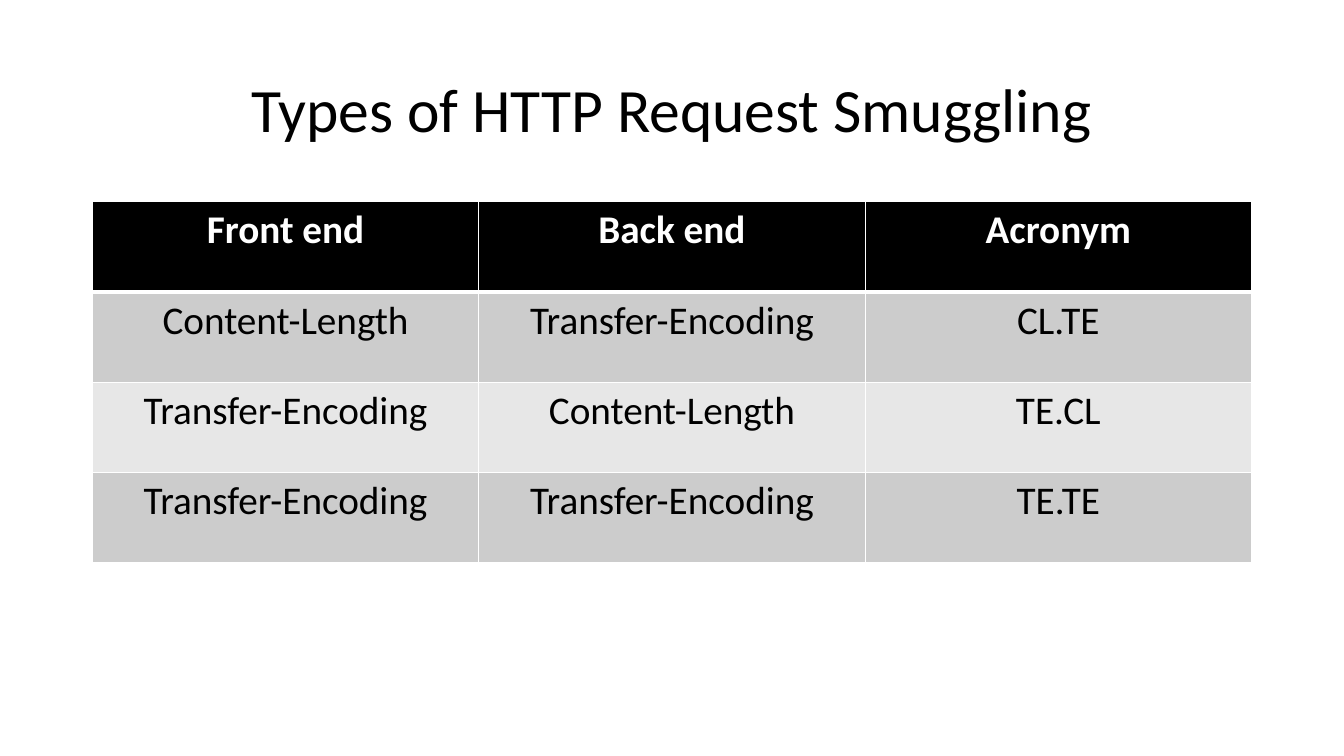
from dataclasses import dataclass

from lxml import etree
from pptx import Presentation
from pptx.dml.color import RGBColor
from pptx.enum import text
from pptx.oxml import ns
from pptx import util as u

PX = 9525  # 96 px to the inch


@dataclass(frozen=True)
class Theme:
    font: str = "Calibri"
    title_size: int = 44
    table_size: int = 28
    dark: str = "000000"
    light: str = "FFFFFF"
    bands: tuple = ("CCCCCC", "E7E7E7")
    thin: int = 1
    thick: int = 3


THEME = Theme()
TITLE_BOX = (88, 38, 1104, 139)
TABLE_BOX = (88, 192, 1104, 344)
ROWS = [
    ("Front end", "Back end", "Acronym"),
    ("Content-Length", "Transfer-Encoding", "CL.TE"),
    ("Transfer-Encoding", "Content-Length", "TE.CL"),
    ("Transfer-Encoding", "Transfer-Encoding", "TE.TE"),
]


def px(length):
    return u.Emu(int(length * PX))


def write(frame, words, *, size, color, bold=False, spacing=None,
          anchor=text.MSO_ANCHOR.TOP):
    frame.word_wrap = True
    frame.vertical_anchor = anchor
    para = frame.paragraphs[0]
    para.alignment = text.PP_ALIGN.CENTER
    para.line_spacing = spacing
    span = para.add_run()
    span.text = words
    span.font.name = THEME.font
    span.font.size = u.Pt(size)
    span.font.bold = bold
    span.font.color.rgb = RGBColor.from_string(color)


def set_borders(cell, top, bottom):
    """Draw all four sides of a cell; top and bottom are widths in points."""
    properties = cell._tc.get_or_add_tcPr()
    widths = {"lnL": THEME.thin, "lnR": THEME.thin, "lnT": top, "lnB": bottom}
    for index, (side, width) in enumerate(widths.items()):
        line = etree.Element(ns.qn(f"a:{side}"), w=str(u.Pt(width)))
        fill = etree.SubElement(line, ns.qn("a:solidFill"))
        etree.SubElement(fill, ns.qn("a:srgbClr"), val=THEME.light)
        properties.insert(index, line)


def add_title(page, box, words):
    title = page.shapes.title
    title.left, title.top, title.width, title.height = map(px, box)
    write(title.text_frame, words, size=THEME.title_size, color=THEME.dark,
          spacing=0.9, anchor=text.MSO_ANCHOR.MIDDLE)


def add_types_table(page, box, rows):
    left, top, width, height = box
    table = page.shapes.add_table(len(rows), len(rows[0]), *map(px, box)).table
    for column in table.columns:
        column.width = px(width / len(rows[0]))
    for row_index, words_in_row in enumerate(rows):
        table.rows[row_index].height = px(height / len(rows))
        header = row_index == 0
        fill = THEME.dark if header else THEME.bands[(row_index - 1) % 2]
        for column_index, words in enumerate(words_in_row):
            cell = table.cell(row_index, column_index)
            cell.fill.solid()
            cell.fill.fore_color.rgb = RGBColor.from_string(fill)
            set_borders(cell,
                        top=THEME.thick if row_index == 1 else THEME.thin,
                        bottom=THEME.thick if header else THEME.thin)
            write(cell.text_frame, words, size=THEME.table_size, bold=header,
                  color=THEME.light if header else THEME.dark)


def main():
    deck = Presentation()
    deck.slide_width, deck.slide_height = px(1280), px(720)
    page = deck.slides.add_slide(deck.slide_layouts.get_by_name("Title Only"))
    add_title(page, TITLE_BOX, "Types of HTTP Request Smuggling")
    add_types_table(page, TABLE_BOX, ROWS)
    deck.save("out.pptx")


if __name__ == "__main__":
    main()
